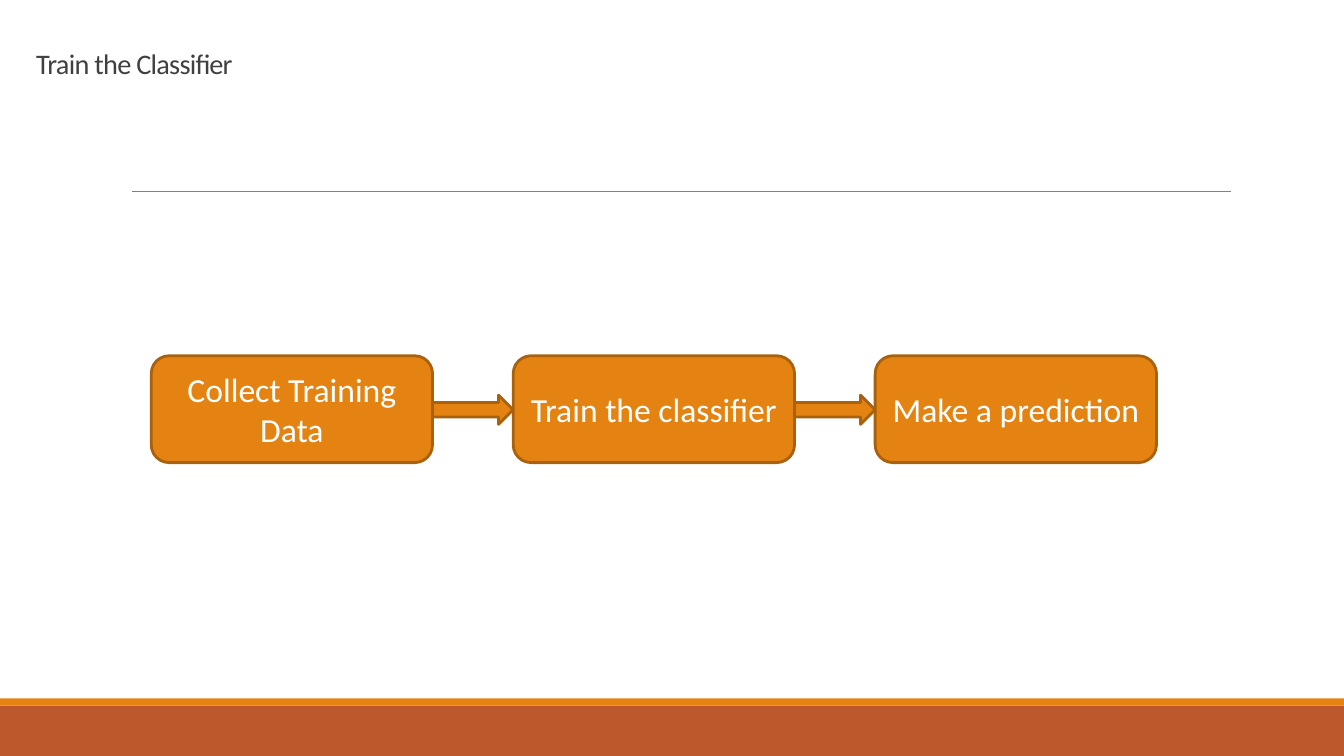
from pptx import Presentation
from pptx.dml.color import RGBColor
from pptx.enum.shapes import MSO_CONNECTOR, MSO_SHAPE
from pptx.enum.text import MSO_ANCHOR, PP_ALIGN
from pptx.util import Inches, Pt
from lxml import etree

RECT, ROUNDED, ARROW = MSO_SHAPE.RECTANGLE, MSO_SHAPE.ROUNDED_RECTANGLE, MSO_SHAPE.RIGHT_ARROW
MIDDLE, BOTTOM, CENTER = MSO_ANCHOR.MIDDLE, MSO_ANCHOR.BOTTOM, PP_ALIGN.CENTER
A_NS = "http://schemas.openxmlformats.org/drawingml/2006/main"
COLORS = {name: RGBColor.from_string(value) for name, value in {
    "orange": "E48312", "rust": "BD582C", "edge": "A9610D",
    "rule": "808080", "title": "404040", "white": "FFFFFF"}.items()}
W, H = 13.33, 7.5

prs = Presentation()
prs.slide_width, prs.slide_height = Inches(W), Inches(H)
s = prs.slides.add_slide(prs.slide_layouts[6])


def add_block(kind, x, y, w, h, fill, edge=None):
    sp = s.shapes.add_shape(kind, Inches(x), Inches(y), Inches(w), Inches(h))
    sp.shadow.inherit = False
    sp.fill.solid()
    sp.fill.fore_color.rgb = COLORS[fill]
    if edge:
        sp.line.color.rgb = COLORS[edge]
        sp.line.width = Pt(2)
    else:
        sp.line.fill.background()
    return sp


def write(sp, text, size, color, anchor):
    tf = sp.text_frame
    tf.word_wrap = True
    tf.vertical_anchor = anchor
    p = tf.paragraphs[0]
    r = p.add_run()
    r.text = text
    for key, value in {"name": "Calibri", "size": Pt(size)}.items():
        setattr(r.font, key, value)
    r.font.color.rgb = COLORS[color]
    return p


# Footer bands
band_h, strip_h = 0.5, 0.07
add_block(RECT, 0, H - band_h, W, band_h, "rust")
add_block(RECT, 0, H - band_h - strip_h, W, strip_h, "orange")

# Rule below the title
rule = s.shapes.add_connector(MSO_CONNECTOR.STRAIGHT, Inches(1.31), Inches(1.9),
                              Inches(12.21), Inches(1.9))
rule.line.color.rgb = COLORS["rule"]
rule.line.width = Pt(0.5)
etree.SubElement(rule.element.spPr, f"{{{A_NS}}}effectLst")

# Title
title = s.shapes.add_textbox(Inches(0.26), 0, Inches(5.15), Inches(0.85))
p = write(title, "Train the Classifier", 20.2, "title", BOTTOM)
p.line_spacing = 0.85
p.runs[0].font._element.set("spc", "-50")

# Process steps
steps = ["Collect Training Data", "Train the classifier", "Make a prediction"]
left, top, step_w, step_h, gap = 1.5, 3.53, 2.79, 1.06, 0.8
lefts = [left + i * (step_w + gap) for i in range(len(steps))]
for x, text in zip(lefts, steps):
    sp = add_block(ROUNDED, x, top, step_w, step_h, "orange", "edge")
    sp.adjustments[0] = 0.167
    write(sp, text, 24, "white", MIDDLE).alignment = CENTER

# Arrows between the steps
for x in lefts[:-1]:
    add_block(ARROW, x + step_w, 3.92, gap, 0.29, "orange", "edge")

prs.save("out.pptx")
